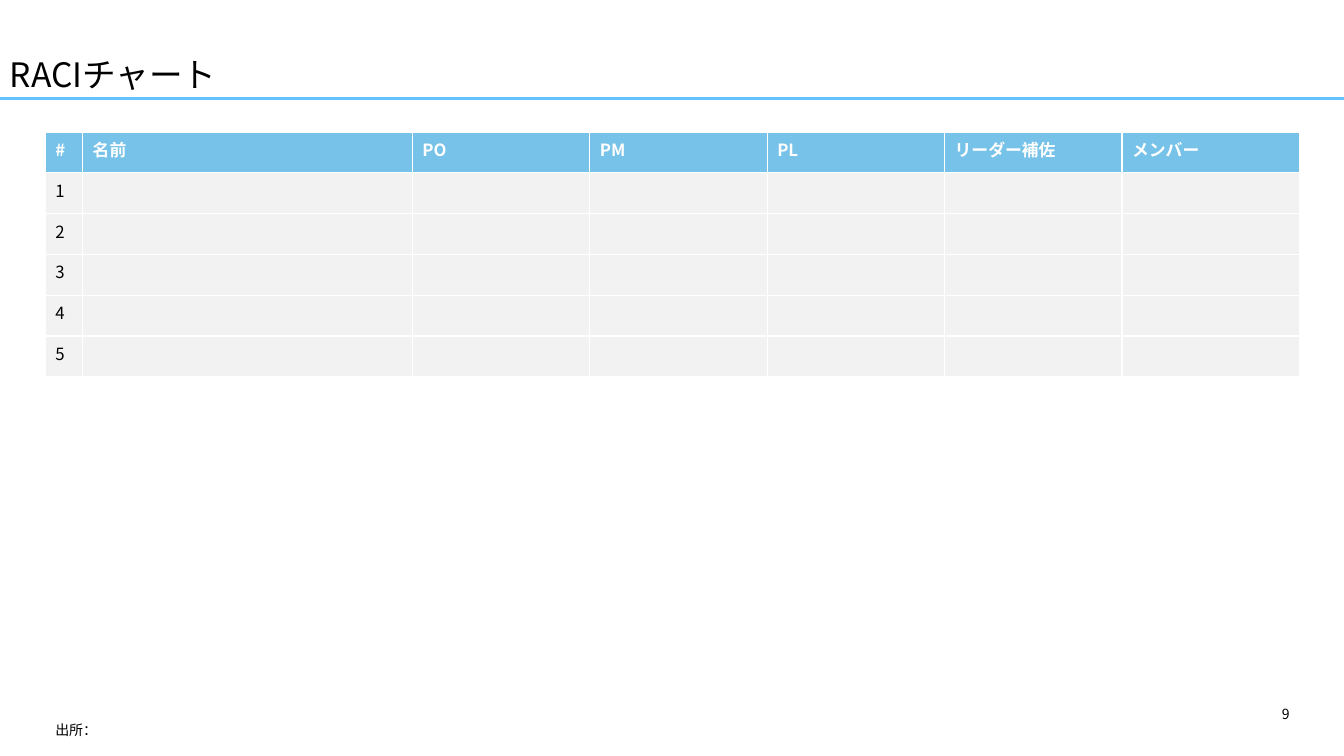
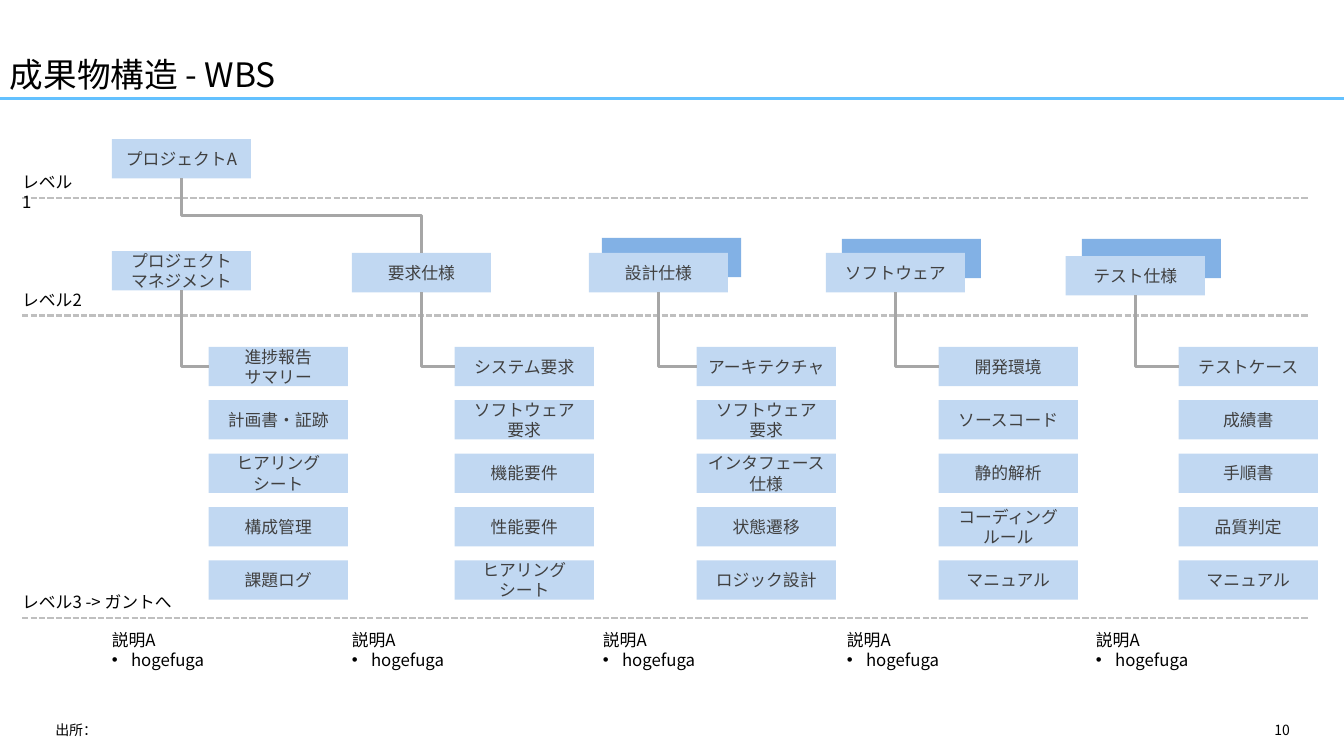
from lxml import etree
from pptx import Presentation
from pptx.dml.color import RGBColor
from pptx.enum.dml import MSO_LINE
from pptx.enum.shapes import MSO_CONNECTOR, MSO_SHAPE
from pptx.enum.text import MSO_ANCHOR, PP_ALIGN
from pptx.oxml.ns import qn
from pptx.util import Inches, Pt

FONT = "Noto Sans CJK JP"
BLACK = RGBColor(0x00, 0x00, 0x00)
WHITE = RGBColor(0xFF, 0xFF, 0xFF)
DARK = RGBColor(0x40, 0x40, 0x40)
RULE = RGBColor(0x63, 0xC1, 0xFF)
HEAD = RGBColor(0x77, 0xC2, 0xE8)
ROW = RGBColor(0xF2, 0xF2, 0xF2)
PALE = RGBColor(0xC1, 0xD8, 0xF2)
BACK = RGBColor(0x82, 0xB1, 0xE5)
DASH = RGBColor(0xBF, 0xBF, 0xBF)
LINK = RGBColor(0xA6, 0xA6, 0xA6)


def write(frame, text, size=12, color=BLACK, align=PP_ALIGN.LEFT, bold=False, inset=None):
    frame.text = text
    frame.word_wrap = True
    if inset is not None:
        frame.margin_left = frame.margin_right = Inches(inset)
        frame.margin_top = frame.margin_bottom = Inches(inset)
    for para in frame.paragraphs:
        para.alignment = align
        for run in para.runs:
            run.font.size = Pt(size)
            run.font.name = FONT
            run.font.bold = bold
            run.font.color.rgb = color
            east = etree.SubElement(run.font._element, qn("a:ea"))
            east.set("typeface", FONT)


def box(slide, x, y, fill, text=""):
    rect = slide.shapes.add_shape(MSO_SHAPE.RECTANGLE, Inches(x), Inches(y), Inches(1.38), Inches(0.39))
    rect.shadow.inherit = False
    rect.fill.solid()
    rect.fill.fore_color.rgb = fill
    rect.line.fill.background()
    if text:
        write(rect.text_frame, text, color=DARK, align=PP_ALIGN.CENTER, inset=0)
        rect.text_frame.vertical_anchor = MSO_ANCHOR.MIDDLE
    return rect


deck = Presentation()
deck.slide_width = Inches(13.33)
deck.slide_height = Inches(7.5)

pages = []
for title, num, top in [("RACIチャート", "9", 6.95), ("成果物構造 - WBS", "10", 7.11)]:
    slide = deck.slides.add_slide(deck.slide_layouts[6])
    pages.append(slide)
    rule = slide.shapes.add_connector(MSO_CONNECTOR.STRAIGHT, 0, Inches(0.98), Inches(13.33), Inches(0.98))
    rule.line.color.rgb = RULE
    rule.line.width = Pt(2.25)
    etree.SubElement(rule._element.spPr, qn("a:effectLst"))
    name = slide.shapes.add_textbox(0, 0, Inches(13.33), Inches(0.99)).text_frame
    write(name, title, 24)
    name.vertical_anchor = MSO_ANCHOR.BOTTOM
    name.paragraphs[0].line_spacing = 0.9
    note = slide.shapes.add_textbox(Inches(0.45), Inches(7.11), Inches(8.47), Inches(0.24))
    write(note.text_frame, "出所：", 10)
    foot = slide.shapes.add_textbox(Inches(9.42), Inches(top), Inches(3.47), Inches(0.24))
    write(foot.text_frame, num, 10, align=PP_ALIGN.RIGHT)

raci, wbs = pages

heads = ["#", "名前", "PO", "PM", "PL", "リーダー補佐", "メンバー"]
widths = [0.37, 3.27] + [1.76] * 5
frame = raci.shapes.add_table(6, 7, Inches(0.45), Inches(1.31), Inches(12.44), Inches(2.43))
table = frame.table
for col, width in zip(table.columns, widths):
    col.width = Inches(width)
for r in range(6):
    for c in range(7):
        cell = table.cell(r, c)
        cell.fill.solid()
        cell.fill.fore_color.rgb = ROW if r else HEAD
        if r == 0:
            write(cell.text_frame, heads[c], color=WHITE, bold=True)
        elif c == 0:
            write(cell.text_frame, str(r))

for y, text, width in [(1.96, "レベル1", 0.58), (3.13, "レベル2", 0.61), (6.13, "レベル3 -> ガントへ", 1.61)]:
    line = wbs.shapes.add_connector(MSO_CONNECTOR.STRAIGHT, Inches(0.22), Inches(y), Inches(12.98), Inches(y))
    line.line.color.rgb = DASH
    line.line.width = Pt(1.5)
    line.line.dash_style = MSO_LINE.SQUARE_DOT
    etree.SubElement(line._element.spPr, qn("a:effectLst"))
    label = wbs.shapes.add_textbox(Inches(0.22), Inches(y - 0.26), Inches(width), Inches(0.2))
    write(label.text_frame, text, inset=0)

for x, y in [(5.97, 2.36), (8.35, 2.37), (10.73, 2.37)]:
    box(wbs, x, y, BACK)

groups = [
    (1.11, 2.49, "プロジェクト\nマネジメント", 2.07, 1.11,
     ["進捗報告\nサマリー", "計画書・証跡", "ヒアリング\nシート", "構成管理", "課題ログ"]),
    (3.49, 2.51, "要求仕様", 4.51, 3.49,
     ["システム要求", "ソフトウェア\n要求", "機能要件", "性能要件", "ヒアリング\nシート"]),
    (5.84, 2.51, "設計仕様", 6.91, 5.98,
     ["アーキテクチャ", "ソフトウェア\n要求", "インタフェース\n仕様", "状態遷移", "ロジック設計"]),
    (8.19, 2.51, "ソフトウェア", 9.31, 8.4,
     ["開発環境", "ソースコード", "静的解析", "コーディング\nルール", "マニュアル"]),
    (10.57, 2.54, "テスト仕様", 11.69, 10.87,
     ["テストケース", "成績書", "手順書", "品質判定", "マニュアル"]),
]
root = box(wbs, 1.11, 1.38, PALE, "プロジェクトA")
tops = []
links = []
for x, y, text, left, side, items in groups:
    top = box(wbs, x, y, PALE, text)
    tops.append(top)
    leaves = [box(wbs, left, 3.44 + 0.53 * i, PALE, item) for i, item in enumerate(items)]
    links.append((top, leaves[0], 1, "bentConnector2"))
    about = wbs.shapes.add_textbox(Inches(side), Inches(6.25), Inches(2.34), Inches(0.4)).text_frame
    write(about, "説明A\nhogefuga", inset=0)
    props = about.paragraphs[1]._p.get_or_add_pPr()
    props.set("marL", str(Inches(0.19)))
    props.set("indent", str(Inches(-0.19)))
    etree.SubElement(props, qn("a:buFont")).set("typeface", "Arial")
    etree.SubElement(props, qn("a:buChar")).set("char", "•")
links.append((root, tops[1], 0, "bentConnector3"))

for start, end, site, kind in links:
    elbow = wbs.shapes.add_connector(MSO_CONNECTOR.ELBOW, 0, 0, Inches(1), Inches(1))
    elbow.begin_connect(start, 2)
    elbow.end_connect(end, site)
    x, y, wide, high = elbow.left, elbow.top, elbow.width, elbow.height
    elbow.left = x + (wide - high) // 2
    elbow.top = y + (high - wide) // 2
    elbow.width, elbow.height = high, wide
    props = elbow._element.spPr
    form = props.find(qn("a:xfrm"))
    form.set("rot", "16200000")
    form.set("flipH", "1")
    props.find(qn("a:prstGeom")).set("prst", kind)
    elbow.line.color.rgb = LINK
    elbow.line.width = Pt(2.25)
    etree.SubElement(props, qn("a:effectLst"))

deck.save("out.pptx")
